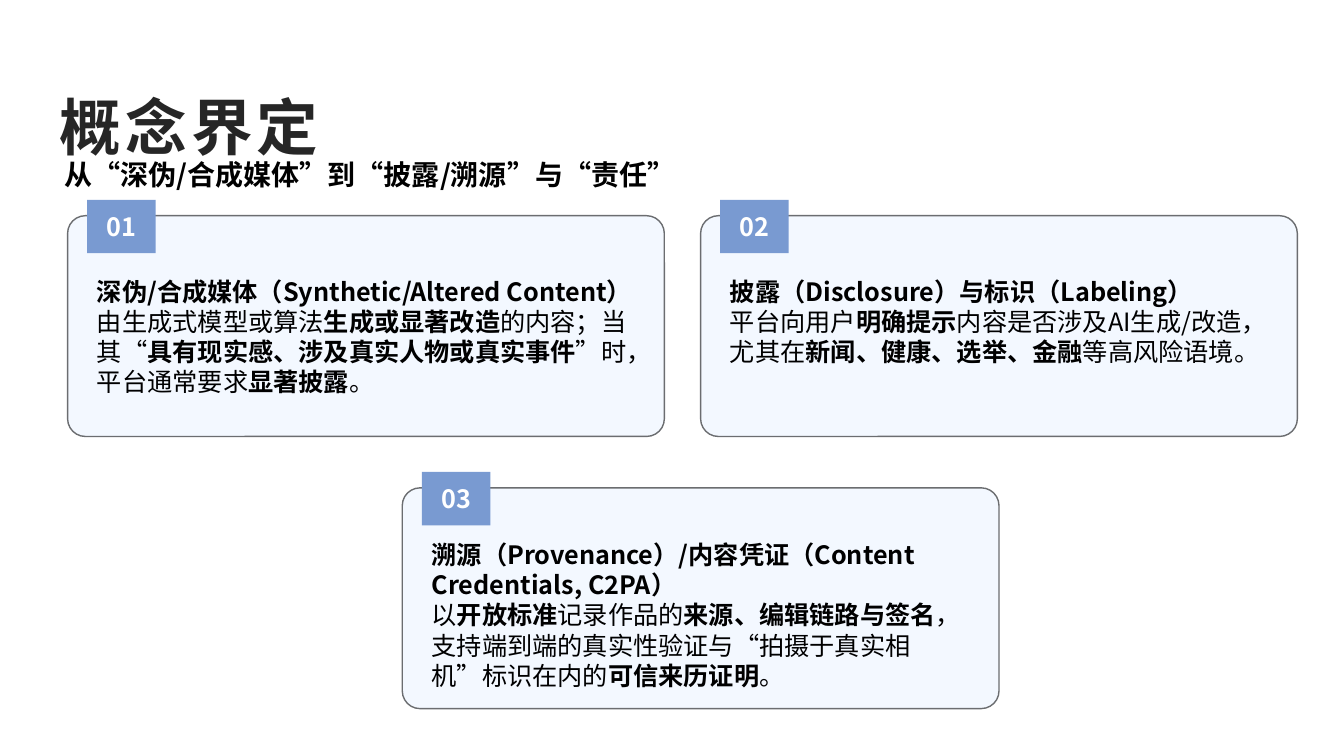
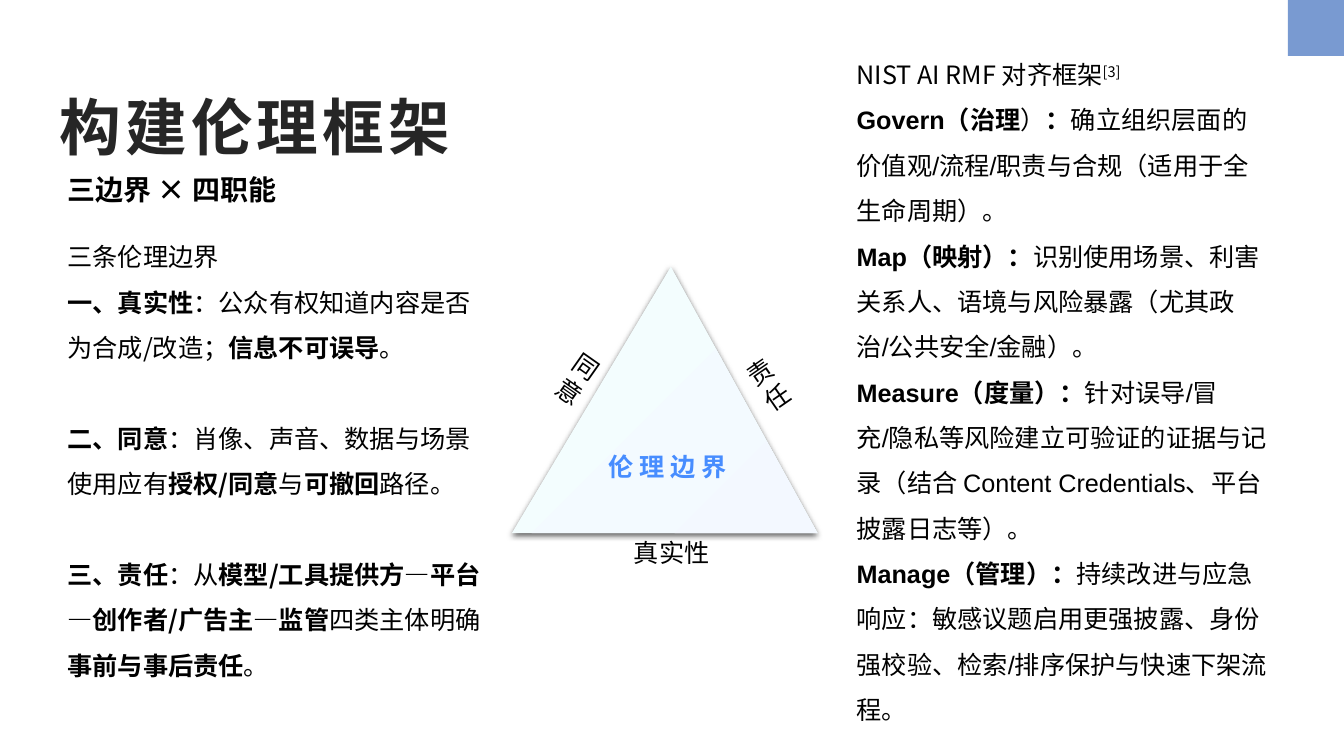
from lxml import etree
from pptx import Presentation
from pptx.dml.color import RGBColor
from pptx.enum.shapes import MSO_SHAPE as Preset
from pptx.enum.text import MSO_ANCHOR as Anchor, MSO_AUTO_SIZE as AutoSize, PP_ALIGN as Align
from pptx.oxml.ns import qn
from pptx.util import Inches, Pt

SLIDE_WIDTH, SLIDE_HEIGHT = Inches(13.33), Inches(7.5)
CJK_FONT, LATIN_FONT = "Noto Sans CJK SC", "Arial"
ACCENT, CARD_FILL, CARD_LINE = "799AD1", "F3F8FF", "6B6D70"
BLACK, WHITE, TITLE_COLOR = "000000", "FFFFFF", "262626"
TRIANGLE_START, TRIANGLE_TEXT = "F3FFFE", "478DFF"
BODY_SIZE, SUBTITLE_SIZE, TITLE_SIZE = 18, 20, 44
SINGLE, LOOSE = 1.2, 1.8
CARD_WIDTH, CARD_HEIGHT = 44.4, 29.2
TAG_INDENT, TAG_RISE = 1.45, 2.1

CARDS = [
    (5.03, 28.53, 7.33, 42.23,
     ["**深伪/合成媒体（Synthetic/Altered Content）**",
      "由生成式模型或算法**生成或显著改造**的内容；当其“**具有现实感、涉及真实人物或真实事件**”时，"
      "平台通常要求**显著披露**。"]),
    (52.13, 28.53, 7.33, 40.73,
     ["**披露（Disclosure）与标识（Labeling）**",
      "平台向用户**明确提示**内容是否涉及AI生成/改造，尤其在**新闻、健康、选举、金融**等高风险语境。"]),
    (29.93, 64.53, 6.13, 40.73,
     ["**溯源（Provenance）/内容凭证（Content Credentials, C2PA）**",
      "以**开放标准**记录作品的**来源、编辑链路与签名**，支持端到端的真实性验证与“拍摄于真实相机”"
      "标识在内的**可信来历证明**。"]),
]

BOUNDARIES = [
    "三条伦理边界",
    "**一、真实性**：公众有权知道内容是否为合成/改造；**信息不可误导**。",
    "**二、同意**：肖像、声音、数据与场景使用应有**授权/同意**与**可撤回**路径。",
    "**三、责任**：从**模型/工具提供方—平台—创作者/广告主—监管**四类主体明确**事前与事后责任**。",
]

FUNCTIONS = [
    "NIST AI RMF 对齐框架",
    "**Govern（治理**）**：**确立组织层面的价值观/流程/职责与合规（适用于全生命周期）。",
    "**Map（映射）：**识别使用场景、利害关系人、语境与风险暴露（尤其政治/公共安全/金融）。",
    "**Measure（度量）：**针对误导/冒充/隐私等风险建立可验证的证据与记录"
    "（结合 Content Credentials、平台披露日志等）。",
    "**Manage（管理）：**持续改进与应急响应：敏感议题启用更强披露、身份强校验、检索/排序保护与快速下架流程。",
]

EDGE_LABELS = [
    ("同意", 41.33, 45.33, 3.15, 9.47, 35.2),
    ("责任", 55.58, 46.27, 3.15, 9.47, 325.4),
    ("真实性", 46.43, 70.4, 7.2, 5.33, 0),
]


def rgb(value):
    return RGBColor.from_string(value)


def area(left, top, width, height):
    return (round(SLIDE_WIDTH * left / 100), round(SLIDE_HEIGHT * top / 100),
            round(SLIDE_WIDTH * width / 100), round(SLIDE_HEIGHT * height / 100))


def format_run(run, size, color=BLACK, bold=False, latin=CJK_FONT):
    run.font.size = Pt(size)
    run.font.bold = bold
    run.font.color.rgb = rgb(color)
    run.font.name = latin
    properties = run.font._element
    east_asian = etree.Element(qn("a:ea"), typeface=CJK_FONT)
    properties.find(qn("a:latin")).addnext(east_asian)


def write_paragraph(paragraph, marked_text, size, spacing, latin=CJK_FONT):
    paragraph.line_spacing = Pt(size * spacing)
    for index, part in enumerate(marked_text.split("**")):
        if part:
            run = paragraph.add_run()
            run.text = part
            format_run(run, size, bold=index % 2 == 1, latin=latin)


def add_text(shapes, place, lines, size=BODY_SIZE, spacing=SINGLE):
    shape = shapes.add_textbox(*area(*place))
    text_frame = shape.text_frame
    text_frame.word_wrap = True
    for index, line in enumerate(lines):
        paragraph = text_frame.add_paragraph() if index else text_frame.paragraphs[0]
        write_paragraph(paragraph, line, size, spacing)
    return shape


def add_panel(shapes, preset, place, fill=None, line=None):
    shape = shapes.add_shape(preset, *area(*place))
    shape.shadow.inherit = False
    if fill:
        shape.fill.solid()
        shape.fill.fore_color.rgb = rgb(fill)
    if line:
        shape.line.color.rgb = rgb(line)
        shape.line.width = Pt(1)
    else:
        shape.line.fill.background()
    return shape


def add_caption(shape, text, color):
    text_frame = shape.text_frame
    text_frame.text = text
    text_frame.vertical_anchor = Anchor.MIDDLE
    paragraph = text_frame.paragraphs[0]
    paragraph.alignment = Align.CENTER
    paragraph.line_spacing = Pt(BODY_SIZE * SINGLE)
    format_run(paragraph.runs[0], BODY_SIZE, color, bold=True)


def add_titled_slide(presentation, title, subtitle, subtitle_left, subtitle_top):
    slide = presentation.slides.add_slide(presentation.slide_layouts[5])
    shape = slide.shapes.title
    shape.left, shape.top, shape.width, shape.height = area(4.43, 9.73, 91.13, 11.07)
    text_frame = shape.text_frame
    text_frame.text = title
    text_frame.auto_size = AutoSize.NONE
    text_frame.vertical_anchor = Anchor.TOP
    text_frame.margin_left = text_frame.margin_right = 0
    text_frame.margin_top = text_frame.margin_bottom = 0
    paragraph = text_frame.paragraphs[0]
    paragraph.alignment = Align.LEFT
    paragraph.line_spacing = Pt(64)
    format_run(paragraph.runs[0], TITLE_SIZE, TITLE_COLOR, bold=True)
    paragraph.runs[0].font._element.set("spc", "300")
    add_text(slide.shapes, (subtitle_left, subtitle_top, 50, 5.87),
             [f"**{subtitle}**"], SUBTITLE_SIZE)
    return slide


def add_card(slide, number, left, top, text_drop, text_width, lines):
    shapes = slide.shapes.add_group_shape().shapes
    card = add_panel(shapes, Preset.ROUNDED_RECTANGLE,
                     (left, top, CARD_WIDTH, CARD_HEIGHT), CARD_FILL, CARD_LINE)
    card.adjustments[0] = 0.08
    inner_left = left + TAG_INDENT
    tag = add_panel(shapes, Preset.RECTANGLE, (inner_left, top - TAG_RISE, 5.1, 7.07), ACCENT)
    add_caption(tag, f"{number:02d}", WHITE)
    add_text(shapes, (inner_left, top + text_drop, text_width, 21), lines)


def add_triangle(slide):
    triangle = add_panel(slide.shapes, Preset.ISOSCELES_TRIANGLE, (38.1, 35.33, 22.73, 35.2))
    triangle.adjustments[0] = 0.52
    triangle.fill.gradient()
    triangle.fill.gradient_angle = 315
    for stop, color in zip(triangle.fill.gradient_stops, (TRIANGLE_START, CARD_FILL)):
        stop.color.rgb = rgb(color)
    effects = triangle._element.spPr.find(qn("a:effectLst"))
    shadow = etree.SubElement(effects, qn("a:outerShdw"), blurRad=str(Pt(4.5)),
                              dist=str(Pt(1.5)), dir="5400000", algn="t", rotWithShape="0")
    shadow_color = etree.SubElement(shadow, qn("a:srgbClr"), val=BLACK)
    etree.SubElement(shadow_color, qn("a:alpha"), val="63000")
    add_caption(triangle, "伦 理 边 界", TRIANGLE_TEXT)


def add_functions(slide):
    heading, *items = FUNCTIONS
    text_frame = add_text(slide.shapes, (63, 5.2, 32.25, 94), [heading],
                          spacing=LOOSE).text_frame
    citation = text_frame.paragraphs[0].add_run()
    citation.text = "[3]"
    format_run(citation, BODY_SIZE)
    citation.font._element.set("baseline", "30000")
    for item in items:
        write_paragraph(text_frame.add_paragraph(), item, BODY_SIZE, LOOSE, LATIN_FONT)


def build_concepts(presentation):
    slide = add_titled_slide(presentation, "概念界定",
                             "从“深伪/合成媒体”到“披露/溯源”与“责任”", 4.05, 20.2)
    for number, card in enumerate(CARDS, 1):
        add_card(slide, number, *card)


def build_framework(presentation):
    slide = add_titled_slide(presentation, "构建伦理框架", "三边界 × 四职能", 4.28, 22.2)
    add_panel(slide.shapes, Preset.RECTANGLE, (95.83, 0, 4.17, 7.41), ACCENT)
    add_triangle(slide)
    for text, left, top, width, height, rotation in EDGE_LABELS:
        label = add_text(slide.shapes, (left, top, width, height), [text])
        label.rotation = rotation
    boundaries = add_text(slide.shapes, (4.28, 29.3, 32.25, 67.33), BOUNDARIES, spacing=LOOSE)
    for paragraph in boundaries.text_frame.paragraphs[2:]:
        paragraph.space_before = Pt(BODY_SIZE * LOOSE)
    add_functions(slide)


def main():
    presentation = Presentation()
    presentation.slide_width, presentation.slide_height = SLIDE_WIDTH, SLIDE_HEIGHT
    build_concepts(presentation)
    build_framework(presentation)
    presentation.save("out.pptx")


if __name__ == "__main__":
    main()
